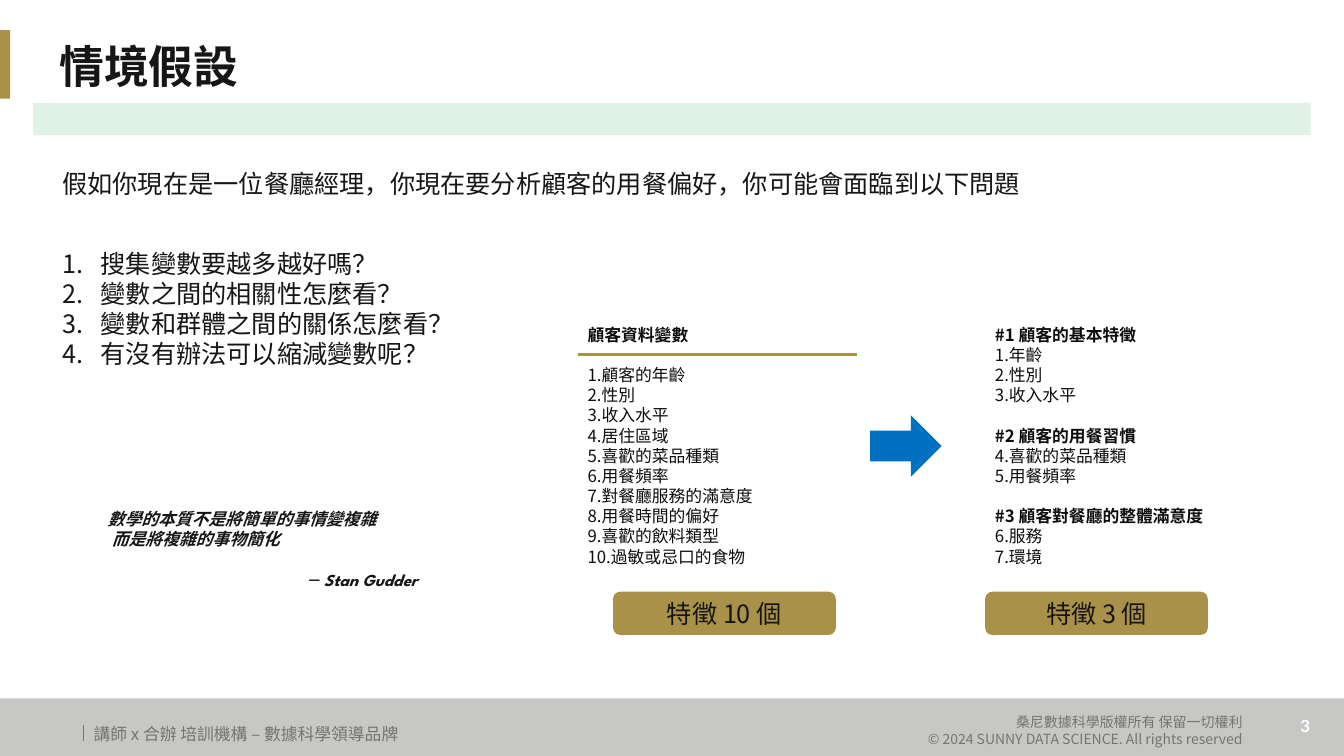
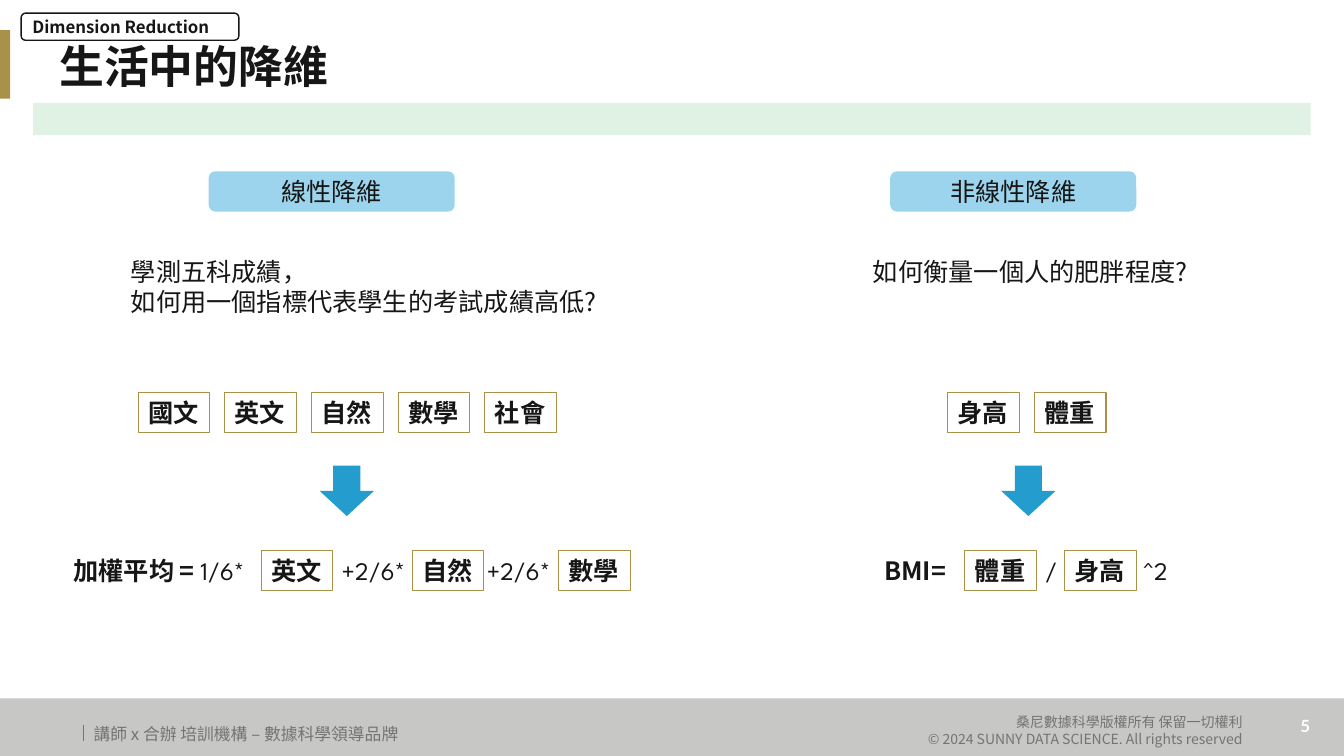
from dataclasses import dataclass
from typing import Optional

from lxml import etree
from pptx import Presentation
from pptx.dml.color import RGBColor
from pptx.enum import shapes, text
from pptx.oxml.ns import qn
from pptx.util import Inches, Pt

# Shared look
SANS, SPARTAN, LATO = "Noto Sans CJK SC", "League Spartan", "Lato"
INK, DARK, GRAY, WHITE = "161616", "0D0D0D", "737572", "FFFFFF"
GOLD, MINT, SILVER = "AA914A", "DFF2E3", "C7C8C6"
SKY, BLUE, ROYAL = "9CD4ED", "249DCE", "0070C0"

KIND = shapes.MSO_SHAPE
ALIGN = text.PP_ALIGN
MID = text.MSO_ANCHOR.MIDDLE
LEAD = 1.2  # line pitch as a multiple of the text size


@dataclass
class Para:
    words: str
    size: float = 18
    color: str = INK
    bold: bool = False
    italic: bool = False
    face: str = SANS
    align: ALIGN = ALIGN.LEFT
    gap: float = 0
    left: float = 0
    hang: float = 0
    start: int = 0  # first number of the list; 0 means no number
    ratio: Optional[float] = None


@dataclass
class Box:
    x: float
    y: float
    w: float
    h: float


def rgb(code: str) -> RGBColor:
    return RGBColor.from_string(code)


def write(shape, paras: list[Para], wrap: bool = True, anchor=text.MSO_ANCHOR.TOP) -> None:
    frame = shape.text_frame
    frame.word_wrap, frame.vertical_anchor = wrap, anchor
    for i, item in enumerate(paras):
        para = frame.add_paragraph() if i else frame.paragraphs[0]
        props = para._p.get_or_add_pPr()
        if item.left or item.start:
            props.set("marL", str(Inches(item.left)))
            props.set("indent", str(Inches(-item.hang)))
        if item.start:
            num = etree.SubElement(props, qn("a:buAutoNum"), type="arabicPeriod")
            if item.start > 1:
                num.set("startAt", str(item.start))
        form = {
            "alignment": item.align,
            "line_spacing": item.ratio or Pt(item.size * LEAD),
            "space_before": Pt(item.gap),
        }
        for key, value in form.items():
            setattr(para, key, value)
        run = para.add_run()
        run.text = item.words
        style = {
            "size": Pt(item.size),
            "bold": item.bold,
            "italic": item.italic,
            "name": item.face,
        }
        for key, value in style.items():
            setattr(run.font, key, value)
        run.font.color.rgb = rgb(item.color)
        etree.SubElement(run._r.get_or_add_rPr(), qn("a:ea"), typeface=item.face)


def label(slide, box: Box, *paras: Para, wrap: bool = True, anchor=text.MSO_ANCHOR.TOP) -> None:
    shape = slide.shapes.add_textbox(*map(Inches, (box.x, box.y, box.w, box.h)))
    write(shape, list(paras), wrap, anchor)


def block(slide, kind: KIND, box: Box, fill: str = "", edge: str = "", width: float = 0.75):
    shape = slide.shapes.add_shape(kind, *map(Inches, (box.x, box.y, box.w, box.h)))
    shape.shadow.inherit = False
    if fill:
        shape.fill.solid()
        shape.fill.fore_color.rgb = rgb(fill)
    else:
        shape.fill.background()
    if edge:
        shape.line.color.rgb = rgb(edge)
        shape.line.width = Pt(width)
    else:
        shape.line.fill.background()
    return shape


def rule(slide, x: float, y: float, right: float, low: float, color: str, width: float) -> None:
    line = slide.shapes.add_connector(
        shapes.MSO_CONNECTOR.STRAIGHT, *map(Inches, (x, y, right, low)))
    line.line.color.rgb = rgb(color)
    line.line.width = Pt(width)
    etree.SubElement(line._element.spPr, qn("a:effectLst"))


def pill(slide, box: Box, words: str, fill: str) -> None:
    shape = block(slide, KIND.ROUNDED_RECTANGLE, box, fill)
    write(shape, [Para(words, align=ALIGN.CENTER)], anchor=MID)


def chip(slide, x: float, y: float, words: str) -> None:
    shape = block(slide, KIND.RECTANGLE, Box(x, y, 0.71, 0.4), edge=GOLD)
    write(shape, [Para(words, bold=True)], wrap=False)


def frame(deck, title: str, page: int):
    """Add a slide with its title, bands and footer."""
    slide = deck.slides.add_slide(deck.slide_layouts[6])
    block(slide, KIND.RECTANGLE, Box(0, 6.93, 13.33, 0.57), SILVER)
    rule(slide, 0.83, 7.19, 0.83, 7.35, GRAY, 0.5)
    label(slide, Box(12.75, 7.05, 0.39, 0.3),
          Para(str(page), 12, WHITE, True, face=LATO, align=ALIGN.CENTER), wrap=False)
    rights = ("桑尼數據科學版權所有 保留一切權利",
              "© 2024 SUNNY DATA SCIENCE. All rights reserved")
    label(slide, Box(7.68, 7.03, 4.74, 0.44),
          *(Para(line, 10, GRAY, align=ALIGN.RIGHT) for line in rights))
    label(slide, Box(0.83, 7.13, 4.74, 0.3),
          Para("講師 x 合辦 培訓機構 – 數據科學領導品牌", 12, GRAY))
    block(slide, KIND.RECTANGLE, Box(0, 0.3, 0.1, 0.68), GOLD)
    label(slide, Box(0.49, 0.26, 12.42, 0.85),
          Para(title, 32, bold=True, ratio=0.9), anchor=MID)
    block(slide, KIND.RECTANGLE, Box(0.33, 1.02, 12.67, 0.32), MINT)
    return slide


def items(names: str, start: int = 1, gap: float = 0) -> list[Para]:
    """Numbered small lines; the gap goes above the first one."""
    return [Para(name, 12, DARK, start=start, gap=0 if i else gap)
            for i, name in enumerate(names.split())]


def scene(deck) -> None:
    slide = frame(deck, "情境假設", 3)
    label(slide, Box(0.52, 1.62, 10.05, 0.4),
          Para("假如你現在是一位餐廳經理，你現在要分析顧客的用餐偏好，你可能會面臨到以下問題"),
          wrap=False)
    asks = ("搜集變數要越多越好嗎？", "變數之間的相關性怎麼看？",
            "變數和群體之間的關係怎麼看？", "有沒有辦法可以縮減變數呢？")
    label(slide, Box(0.52, 2.41, 6.67, 1.31),
          *(Para(ask, left=0.38, hang=0.38, start=1) for ask in asks))

    # Variables before and after grouping
    skip = 12 * LEAD
    label(slide, Box(5.73, 3.17, 2.9, 2.52),
          Para("顧客資料變數", 12, DARK, True),
          *items("顧客的年齡 性別 收入水平 居住區域 喜歡的菜品種類 用餐頻率 "
                 "對餐廳服務的滿意度 用餐時間的偏好 喜歡的飲料類型 過敏或忌口的食物",
                 gap=skip))
    rule(slide, 5.73, 3.52, 8.5, 3.52, GOLD, 2.25)
    groups = (("顧客的基本特徵", "年齡 性別 收入水平"),
              ("顧客的用餐習慣", "喜歡的菜品種類 用餐頻率"),
              ("顧客對餐廳的整體滿意度", "服務 環境"))
    lines, start = [], 1
    for i, (head, names) in enumerate(groups):
        lines.append(Para(f"#{i + 1} {head}", 12, DARK, True, gap=skip if i else 0))
        lines += items(names, start)
        start += len(names.split())
    label(slide, Box(9.77, 3.17, 3.33, 2.52), *lines)
    block(slide, KIND.RIGHT_ARROW, Box(8.63, 4.12, 0.71, 0.61), ROYAL)
    for x, count in ((6.08, 10), (9.77, 3)):
        pill(slide, Box(x, 5.87, 2.21, 0.43), f"特徵 {count} 個", GOLD)

    # Quote
    label(slide, Box(0.97, 5, 4.01, 0.91),
          Para("數學的本質不是將簡單的事情變複雜", 12, bold=True, italic=True),
          Para("而是將複雜的事物簡化", 12, bold=True, italic=True, left=0.04),
          Para("─ Stan Gudder", 12, bold=True, italic=True, face=SPARTAN,
               gap=skip, left=2))


@dataclass
class Side:
    name: str
    x: float  # left edge of the heading
    ask: tuple[str, ...]
    spot: Box
    first: float  # left edge of the first chip
    chips: str
    lead: tuple[float, float, str]
    terms: tuple[tuple[float, str], ...]
    signs: tuple[tuple[float, float, str], ...]


SIDES = (
    Side("線性降維", 2.07, ("學測五科成績，", "如何用一個指標代表學生的考試成績高低?"),
         Box(1.2, 2.49, 4.89, 0.71), 1.37, "國文 英文 自然 數學 社會",
         (0.63, 1.52, "加權平均 ="),
         ((2.59, "英文"), (4.09, "自然"), (5.54, "數學")),
         ((1.89, 0.7, "1/6*"), (3.29, 0.85, "+2/6*"), (4.73, 0.85, "+2/6*"))),
    Side("非線性降維", 8.83, ("如何衡量一個人的肥胖程度?",),
         Box(8.56, 2.49, 3.35, 0.4), 9.4, "身高 體重",
         (8.67, 0.95, "BMI="),
         ((9.57, "體重"), (10.56, "身高")),
         ((10.27, 0.31, "/"), (11.24, 0.51, "^2"))),
)


def daily(deck) -> None:
    slide = frame(deck, "生活中的降維", 5)
    tag = block(slide, KIND.ROUNDED_RECTANGLE, Box(0.21, 0.13, 2.16, 0.27), edge=INK, width=1)
    write(tag, [Para("Dimension Reduction", 12, bold=True)], anchor=MID)
    top, base, step = 3.89, 5.46, 0.86
    for side in SIDES:
        pill(slide, Box(side.x, 1.7, 2.44, 0.4), side.name, SKY)
        label(slide, side.spot, *map(Para, side.ask), wrap=False)
        for i, name in enumerate(side.chips.split()):
            chip(slide, side.first + i * step, top, name)
        block(slide, KIND.DOWN_ARROW, Box(side.x + 1.1, 4.62, 0.54, 0.5), BLUE)
        # Formula
        x, w, words = side.lead
        label(slide, Box(x, base, w, 0.4), Para(words, bold=True), wrap=False)
        for x, name in side.terms:
            chip(slide, x, base, name)
        for x, w, sign in side.signs:
            label(slide, Box(x, base, w, 0.4), Para(sign, face=SPARTAN), wrap=False)


def main() -> None:
    deck = Presentation()
    deck.slide_width, deck.slide_height = Inches(13.33), Inches(7.5)
    scene(deck)
    daily(deck)
    deck.save("out.pptx")


if __name__ == "__main__":
    main()
